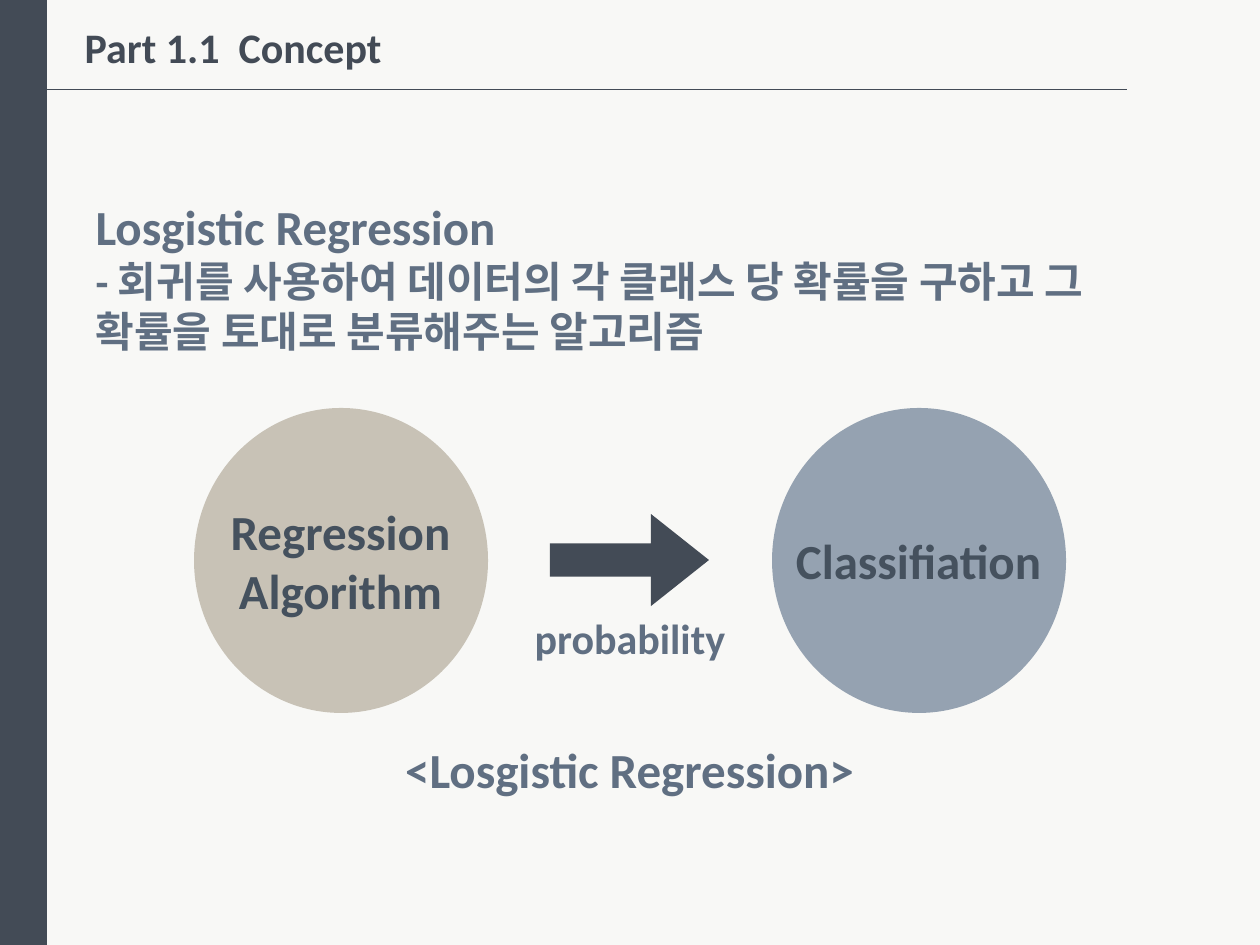
"""Build the logistic regression concept slide."""
from dataclasses import dataclass

from pptx import Presentation
from pptx import util as u
from pptx.dml.color import RGBColor
from pptx.enum import shapes, text
from pptx.oxml.ns import qn
from lxml import etree

SCALE = 914400 / 126
LEFT, MID = text.PP_ALIGN.LEFT, text.PP_ALIGN.CENTER


@dataclass(frozen=True)
class Theme:
    font: str = "Calibri"
    back: str = "F8F8F6"
    dark: str = "434B56"
    slate: str = "606F82"
    ink: str = "45515E"
    sand: str = "C8C2B6"
    blue: str = "95A2B1"
    big: int = 28
    small: int = 24


T = Theme()


def px(*nums):
    return [u.Emu(round(n * SCALE)) for n in nums]


def assign(obj, **vals):
    for key, val in vals.items():
        setattr(obj, key, val)


def paint(fill, tone):
    fill.solid()
    fill.fore_color.rgb = RGBColor.from_string(tone)


def place(obj, box):
    assign(obj, **dict(zip(("left", "top", "width", "height"), px(*box))))


def write(obj, lines, tone, align=MID, wrap=True):
    frame = obj.text_frame
    assign(frame, word_wrap=wrap, vertical_anchor=text.MSO_ANCHOR.TOP,
           auto_size=text.MSO_AUTO_SIZE.SHAPE_TO_FIT_TEXT)
    frame.text = "\n".join(words for words, size in lines)
    for para, (words, size) in zip(frame.paragraphs, lines):
        assign(para, alignment=align, space_before=u.Pt(0), line_spacing=1.0)
        font = para.runs[0].font
        assign(font, name=T.font, size=u.Pt(size), bold=True)
        font.color.rgb = RGBColor.from_string(tone)


def label(parent, box, lines, tone):
    write(parent.add_textbox(*px(*box)), lines, tone)


def solid(parent, kind, box, tone):
    shape = parent.add_shape(kind, *px(*box))
    shape.shadow.inherit = False
    paint(shape.fill, tone)
    shape.line.fill.background()
    return shape


def rule(parent, ends, tone):
    line = parent.add_connector(shapes.MSO_CONNECTOR.STRAIGHT, *px(*ends))
    line.line.width = u.Pt(0.5)
    line.line.color.rgb = RGBColor.from_string(tone)
    etree.SubElement(line._element.spPr, qn("a:effectLst"))


def plain(body):
    for para in body.text_frame.paragraphs:
        props = para._p.get_or_add_pPr()
        props.set("marL", "0")
        props.set("indent", "0")
        etree.SubElement(props, qn("a:buNone"))


def diagram(parent):
    kind = shapes.MSO_SHAPE
    solid(parent, kind.OVAL, (194, 408, 294, 305), T.sand)
    label(parent, (214, 495, 253, 131),
          [("Regression", T.big), ("Algorithm", T.big)], T.ink)
    solid(parent, kind.OVAL, (772, 408, 294, 305), T.blue)
    label(parent, (782, 524, 273, 72), [("Classifiation", T.big)], T.ink)
    arrow = solid(parent, kind.RIGHT_ARROW, (550, 514, 159, 92), T.dark)
    arrow.adjustments[0], arrow.adjustments[1] = 0.36, 0.63
    label(parent, (512, 606, 236, 63), [("probability", T.small)], T.slate)
    label(parent, (334, 733, 591, 72),
          [("<Losgistic Regression>", T.big)], T.slate)


def main():
    deck = Presentation()
    deck.slide_width, deck.slide_height = px(1260, 945)
    slide = deck.slides.add_slide(deck.slide_layouts[1])
    paint(slide.background.fill, T.back)
    title, body = slide.placeholders
    place(title, (72, 15, 330, 63))
    write(title, [("Part 1.1  Concept", T.small)], T.dark, LEFT, False)
    place(body, (83, 190, 1096, 174))
    write(body, [
        ("Losgistic Regression", T.big),
        ("- 회귀를 사용하여 데이터의 각 클래스 당 확률을 구하고 "
         "그 확률을 토대로 분류해주는 알고리즘", T.small),
    ], T.slate, LEFT)
    plain(body)
    solid(slide.shapes, shapes.MSO_SHAPE.RECTANGLE, (0, 0, 47, 945), T.dark)
    rule(slide.shapes, (47, 89, 1127, 89), T.dark)
    diagram(slide.shapes.add_group_shape().shapes)
    deck.save("out.pptx")


if __name__ == "__main__":
    main()
